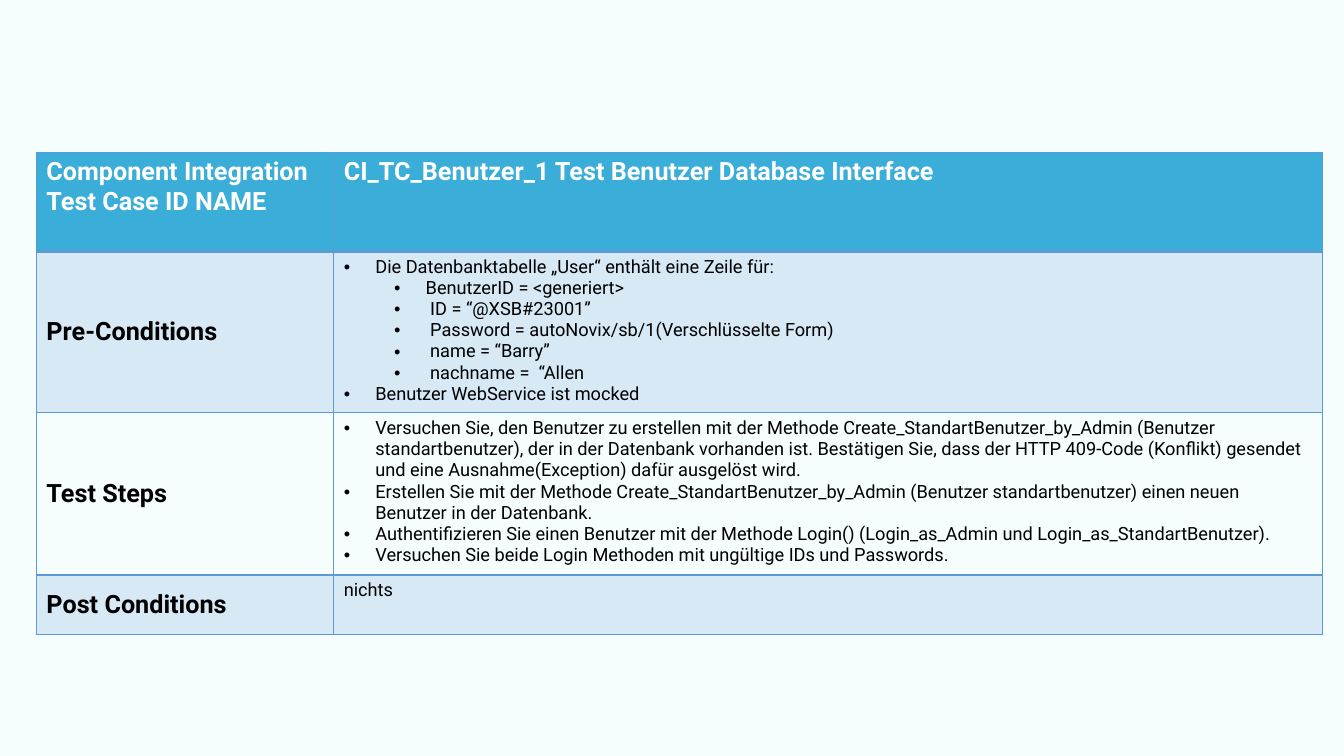
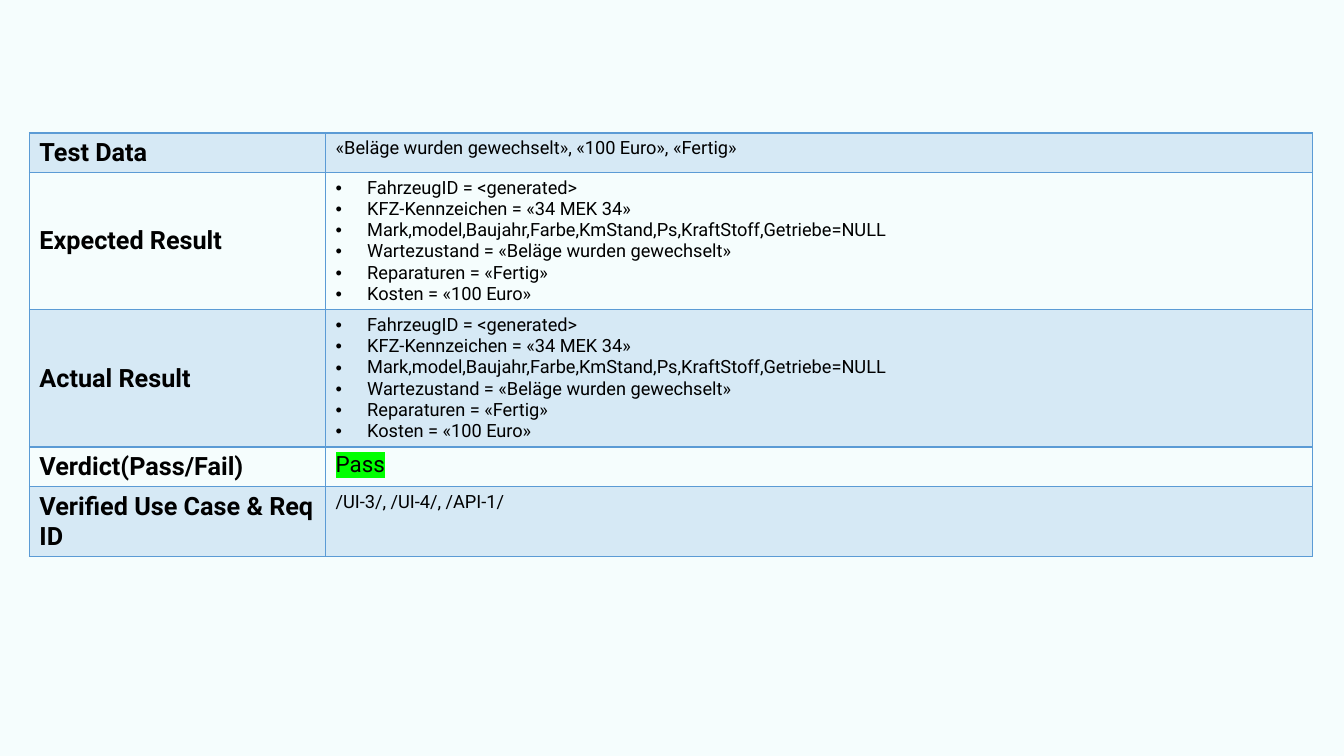
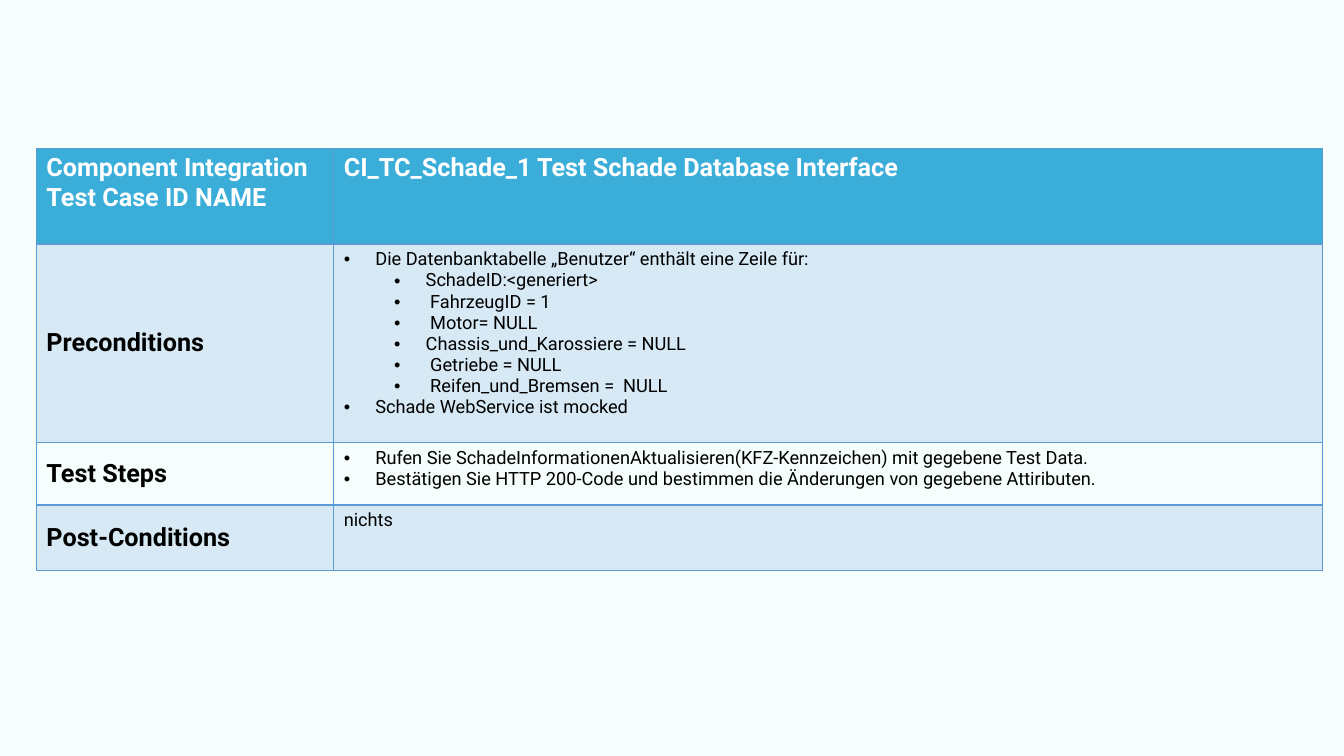
from dataclasses import dataclass
from typing import Any, Optional

from lxml.etree import SubElement
from pptx import Presentation
from pptx.dml.color import RGBColor
from pptx.dml.fill import FillFormat
from pptx.enum.text import MSO_VERTICAL_ANCHOR as Anchor
from pptx.oxml.ns import qn
from pptx.slide import Slide
from pptx.table import _Cell as Cell
from pptx.util import Pt

PAGE = "4EDAE7"
HEADER = "3AADD9"
ACCENT = "5B9BD5"
BLACK = "000000"
WHITE = "FFFFFF"
GREEN = "00FF00"
FONT = "Roboto"
LABEL_SIZE = 18
BODY_SIZE = 13
HANGING = 22.5
LEVEL_STEP = 36
SIDES = ("L", "R", "T", "B")


@dataclass(frozen=True)
class Line:
    text: str
    level: Optional[int] = None


@dataclass(frozen=True)
class Row:
    height: float
    label: str
    lines: list[Line]
    header: bool = False
    banded: bool = False
    size: float = BODY_SIZE
    highlight: Optional[str] = None


@dataclass(frozen=True)
class Sheet:
    left: float
    top: float
    columns: tuple[float, float]
    rows: list[Row]


def bullets(*texts: str, level: int = 0) -> list[Line]:
    return [Line(text, level) for text in texts]


def plain(text: str) -> list[Line]:
    return [Line(text)]


def header_row(height: float, name: str) -> Row:
    return Row(height, "Component Integration Test Case ID NAME", plain(name),
               header=True, size=LABEL_SIZE)


def set_format(target: Any, values: dict[str, Any]) -> None:
    for name, value in values.items():
        setattr(target, name, value)


def rgb(color: str) -> RGBColor:
    return RGBColor.from_string(color)


def paint(fill: FillFormat, color: str, opacity: int = 100) -> None:
    fill.solid()
    fill.fore_color.rgb = rgb(color)
    if opacity < 100:
        tint = fill._xPr.find(qn("a:solidFill"))[0]
        SubElement(tint, qn("a:alpha"), val=str(opacity * 1000))


def draw_borders(cell: Cell, widths: dict[str, float]) -> None:
    properties = cell._tc.get_or_add_tcPr()
    for side in SIDES:
        border = SubElement(properties, qn(f"a:ln{side}"), w=str(Pt(widths.get(side, 1))))
        SubElement(SubElement(border, qn("a:solidFill")), qn("a:srgbClr"), val=ACCENT)


def write_lines(cell: Cell, lines: list[Line], size: float, bold: bool,
                color: str, highlight: Optional[str] = None) -> None:
    frame = cell.text_frame
    for index, line in enumerate(lines):
        para = frame.add_paragraph() if index else frame.paragraphs[0]
        if line.level is not None:
            para.level = line.level
            properties = para._p.get_or_add_pPr()
            properties.set("marL", str(Pt(HANGING + LEVEL_STEP * line.level)))
            properties.set("indent", str(-Pt(HANGING)))
            SubElement(properties, qn("a:buFont"), typeface="Arial")
            SubElement(properties, qn("a:buChar"), char="•")
        span = para.add_run()
        span.text = line.text
        set_format(span.font, {"name": FONT, "size": Pt(size), "bold": bold})
        span.font.color.rgb = rgb(color)
        if highlight:
            properties = span.font._element
            mark = SubElement(properties, qn("a:highlight"))
            SubElement(mark, qn("a:srgbClr"), val=highlight)
            properties.find(qn("a:solidFill")).addnext(mark)


def draw_sheet(page: Slide, sheet: Sheet) -> None:
    heights = [row.height for row in sheet.rows]
    table = page.shapes.add_table(
        len(heights), len(sheet.columns), Pt(sheet.left), Pt(sheet.top),
        Pt(sum(sheet.columns)), Pt(sum(heights))).table
    set_format(table, {"first_row": False, "horz_banding": False})
    for column, width in zip(table.columns, sheet.columns):
        column.width = Pt(width)
    below_header = False
    for index, row in enumerate(sheet.rows):
        table.rows[index].height = Pt(row.height)
        label, body = table.rows[index].cells
        color = WHITE if row.header else BLACK
        widths = {"T": 2 if below_header else 1, "B": 2 if row.header else 1}
        for cell in (label, body):
            draw_borders(cell, widths)
            if row.header:
                paint(cell.fill, HEADER)
            elif row.banded:
                paint(cell.fill, ACCENT, 20)
            else:
                cell.fill.background()
        label.vertical_anchor = Anchor.TOP if row.header else Anchor.MIDDLE
        write_lines(label, plain(row.label), LABEL_SIZE, True, color)
        write_lines(body, row.lines, row.size, row.header, color, row.highlight)
        below_header = row.header


CASE_COLUMNS = (212.4, 706.3)

RESULT = bullets(
    "FahrzeugID = <generated>",
    "KFZ-Kennzeichen = «34 MEK 34»",
    "Mark,model,Baujahr,Farbe,KmStand,Ps,KraftStoff,Getriebe=NULL",
    "Wartezustand = «Beläge wurden gewechselt»",
    "Reparaturen = «Fertig»",
    "Kosten = «100 Euro»",
)

SHEETS = [
    Sheet(26, 108.7, CASE_COLUMNS, [
        header_row(71, "CI_TC_Benutzer_1 Test Benutzer Database Interface"),
        Row(115.2, "Pre-Conditions", [
            *bullets("Die Datenbanktabelle „User“ enthält eine Zeile für:"),
            *bullets(
                "BenutzerID = <generiert>",
                " ID = “@XSB#23001”",
                " Password = autoNovix/sb/1(Verschlüsselte Form)",
                " name = “Barry”",
                " nachname =  “Allen",
                level=1),
            *bullets("Benutzer WebService ist mocked"),
        ], banded=True),
        Row(115.9, "Test Steps", bullets(
            "Versuchen Sie, den Benutzer zu erstellen mit der Methode "
            "Create_StandartBenutzer_by_Admin (Benutzer standartbenutzer), der in der "
            "Datenbank vorhanden ist. Bestätigen Sie, dass der HTTP 409-Code (Konflikt) "
            "gesendet und eine Ausnahme(Exception) dafür ausgelöst wird.",
            "Erstellen Sie mit der Methode Create_StandartBenutzer_by_Admin (Benutzer "
            "standartbenutzer) einen neuen Benutzer in der Datenbank.",
            "Authentifizieren Sie einen Benutzer mit der Methode Login() "
            "(Login_as_Admin und Login_as_StandartBenutzer).",
            "Versuchen Sie beide Login Methoden mit ungültige IDs und Passwords.")),
        Row(42.7, "Post Conditions", plain("nichts"), banded=True),
    ]),
    Sheet(21, 95, (211.6, 705), [
        Row(28, "Test Data", plain("«Beläge wurden gewechselt», «100 Euro», «Fertig»"),
            banded=True),
        Row(98, "Expected Result", RESULT),
        Row(98, "Actual Result", RESULT, banded=True),
        Row(28, "Verdict(Pass/Fail)", plain("Pass"), size=16, highlight=GREEN),
        Row(50, "Verified Use Case & Req ID", plain("/UI-3/, /UI-4/, /API-1/"),
            banded=True),
    ]),
    Sheet(26, 105.8, CASE_COLUMNS, [
        header_row(68.5, "CI_TC_Schade_1 Test Schade Database Interface"),
        Row(141.7, "Preconditions", [
            *bullets("Die Datenbanktabelle „Benutzer“ enthält eine Zeile für:"),
            *bullets(
                "SchadeID:<generiert>",
                " FahrzeugID = 1",
                " Motor= NULL",
                "Chassis_und_Karossiere = NULL",
                " Getriebe = NULL",
                " Reifen_und_Bremsen =  NULL",
                level=1),
            *bullets("Schade WebService ist mocked"),
        ], banded=True),
        Row(44.8, "Test Steps", bullets(
            "Rufen Sie SchadeInformationenAktualisieren(KFZ-Kennzeichen) mit gegebene "
            "Test Data.",
            "Bestätigen Sie HTTP 200-Code und bestimmen die Änderungen von gegebene "
            "Attiributen.")),
        Row(47, "Post-Conditions", plain("nichts"), banded=True),
    ]),
]


def main() -> None:
    deck = Presentation()
    set_format(deck, {"slide_width": Pt(960), "slide_height": Pt(540)})
    for sheet in SHEETS:
        page = deck.slides.add_slide(deck.slide_layouts[6])
        paint(page.background.fill, PAGE, 5)
        draw_sheet(page, sheet)
    deck.save("out.pptx")


if __name__ == "__main__":
    main()
